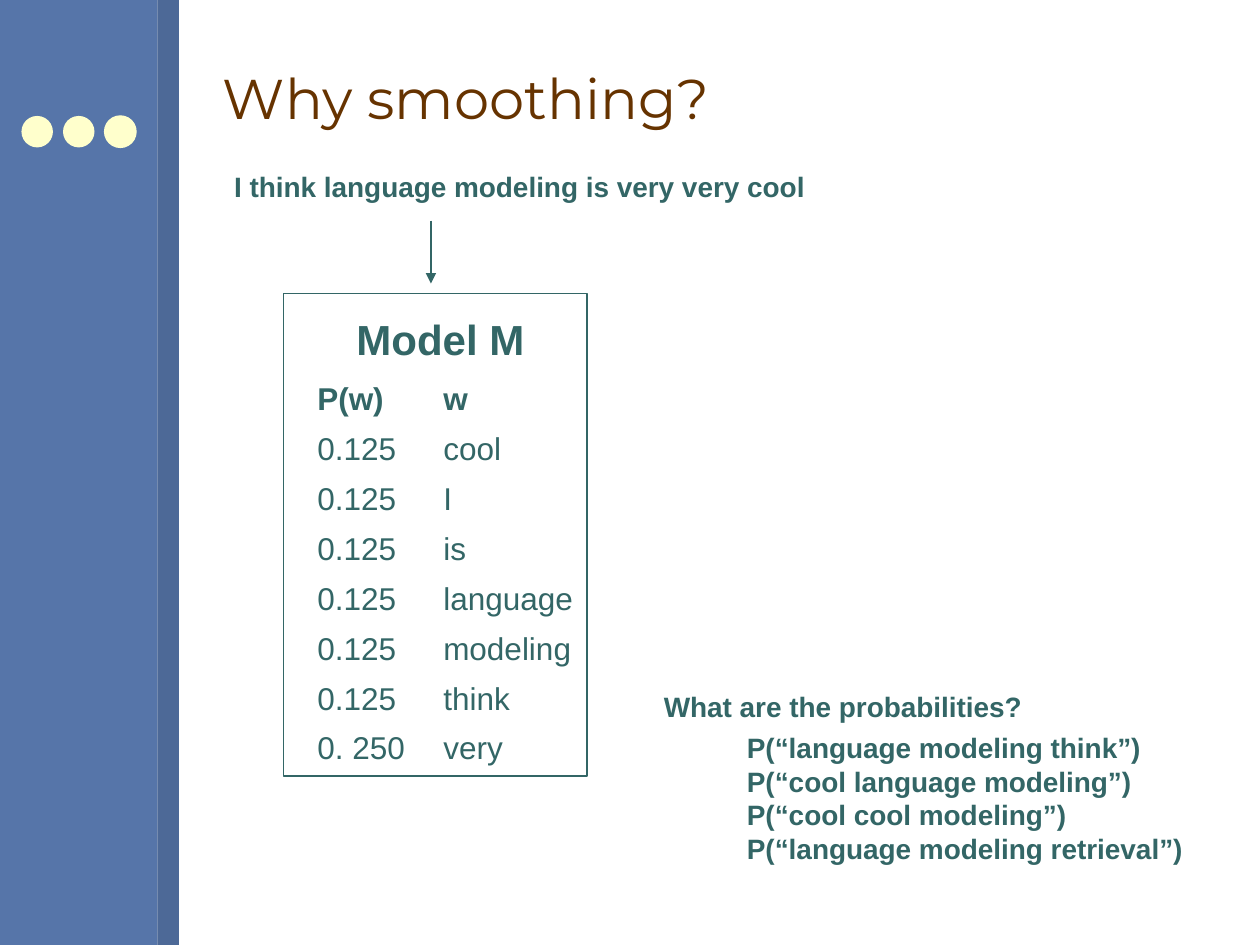
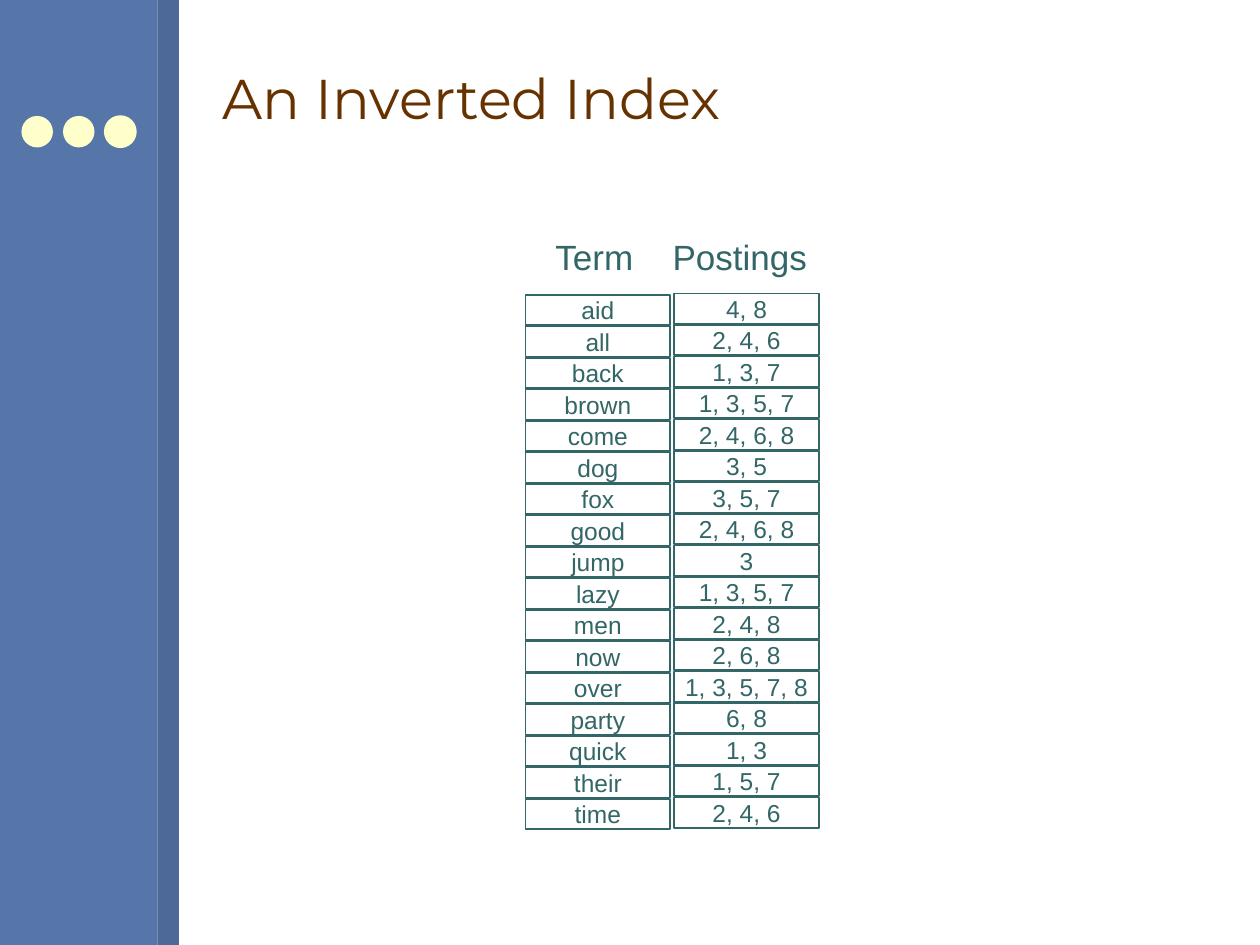
from lxml import etree
from pptx import Presentation
from pptx.dml.color import RGBColor
from pptx.enum.shapes import MSO_CONNECTOR, MSO_SHAPE
from pptx.enum.text import MSO_ANCHOR, PP_ALIGN
from pptx.oxml.ns import qn
from pptx.util import Inches, Pt

BAND, BAND_EDGE, DOT = "5675A9", "4D6997", "FFFFCC"
TITLE_COLOR, INK = "663300", "336666"
TITLE_FONT, BODY_FONT = "Montserrat", "Arial"

WORD_PROBABILITIES = [
    ("P(w)", "w"), ("0.125", "cool"), ("0.125", "I"), ("0.125", "is"),
    ("0.125", "language"), ("0.125", "modeling"), ("0.125", "think"),
    ("0. 250", "very"),
]
QUERIES = [
    "P(“language modeling think”)",
    "P(“cool language modeling”)",
    "P(“cool cool modeling”)",
    "P(“language modeling retrieval”)",
]
INVERTED_INDEX = {
    "aid": "4, 8", "all": "2, 4, 6", "back": "1, 3, 7", "brown": "1, 3, 5, 7",
    "come": "2, 4, 6, 8", "dog": "3, 5", "fox": "3, 5, 7", "good": "2, 4, 6, 8",
    "jump": "3", "lazy": "1, 3, 5, 7", "men": "2, 4, 8", "now": "2, 6, 8",
    "over": "1, 3, 5, 7, 8", "party": "6, 8", "quick": "1, 3",
    "their": "1, 5, 7", "time": "2, 4, 6",
}


def rgb(color):
    return RGBColor.from_string(color)


def style(para, size, color=INK, font=BODY_FONT, bold=False, align=PP_ALIGN.LEFT):
    para.alignment = align
    para.font.size = Pt(size)
    para.font.name = font
    para.font.bold = bold
    para.font.color.rgb = rgb(color)


def add_text(page, left, top, width, height, lines, size, **look):
    """Add a text box with one paragraph per line and return its frame."""
    box = page.shapes.add_textbox(
        Inches(left), Inches(top), Inches(width), Inches(height))
    frame = box.text_frame
    frame.word_wrap = True
    frame.text = "\n".join(lines)
    for para in frame.paragraphs:
        style(para, size, **look)
    return frame


def add_preset(page, kind, left, top, width, height, fill=None, line=None, weight=0.75):
    shape = page.shapes.add_shape(
        kind, Inches(left), Inches(top), Inches(width), Inches(height))
    shape.shadow.inherit = False
    if fill:
        shape.fill.solid()
        shape.fill.fore_color.rgb = rgb(fill)
    else:
        shape.fill.background()
    if line:
        shape.line.color.rgb = rgb(line)
        shape.line.width = Pt(weight)
    else:
        shape.line.fill.background()
    return shape


def add_arrow(page, start_x, start_y, end_x, end_y):
    arrow = page.shapes.add_connector(
        MSO_CONNECTOR.STRAIGHT,
        Inches(start_x), Inches(start_y), Inches(end_x), Inches(end_y))
    arrow.line.color.rgb = rgb(INK)
    arrow.line.width = Pt(0.75)
    etree.SubElement(arrow.line._get_or_add_ln(), qn("a:tailEnd"), type="triangle")
    etree.SubElement(arrow._element.spPr, qn("a:effectLst"))


def add_page(deck, title):
    """Add a slide with the side bands, the three dots and its title."""
    page = deck.slides.add_slide(deck.slide_layouts[6])
    add_preset(page, MSO_SHAPE.RECTANGLE, 0, 0, 1.25, 7.5, BAND)
    add_preset(page, MSO_SHAPE.RECTANGLE, 1.25, 0, 0.17, 7.5, BAND_EDGE)
    for left, outline in ((0.17, None), (0.5, None), (0.83, DOT)):
        add_preset(page, MSO_SHAPE.OVAL, left, 0.92, 0.25, 0.25, DOT, outline)
    frame = add_text(page, 1.67, 0.21, 8, 1.13, [title], 32,
                     color=TITLE_COLOR, font=TITLE_FONT)
    frame.vertical_anchor = MSO_ANCHOR.MIDDLE
    return page


def add_model(page, left, top):
    """Draw the framed unigram model with its word probabilities."""
    add_preset(page, MSO_SHAPE.RECTANGLE, left, top, 2.41, 3.83, line=INK)
    add_text(page, left + 0.34, top + 0.11, 1.81, 0.5, ["Model M"], 24,
             bold=True, align=PP_ALIGN.CENTER)
    rows = ["\t".join(row) for row in WORD_PROBABILITIES]
    frame = add_text(page, left + 0.17, top + 0.69, 2.33, 3.12, rows, 18)
    for number, para in enumerate(frame.paragraphs):
        para.line_spacing = 0.8
        para.font.bold = number == 0
        if number:
            para.space_before = Pt(11.2)


def add_questions(page, left, top):
    add_text(page, left, top, 3.2, 0.37, ["What are the probabilities?"], 16, bold=True)
    add_text(page, left + 0.66, top + 0.33, 3.8, 1.17, QUERIES, 16, bold=True)


def add_index_column(page, left, top, entries):
    row_pitch = 0.25
    for row, entry in enumerate(entries):
        cell = add_preset(page, MSO_SHAPE.RECTANGLE, left, top + row * row_pitch,
                          1.15, 0.24, line=INK, weight=1)
        frame = cell.text_frame
        frame.word_wrap = False
        frame.vertical_anchor = MSO_ANCHOR.MIDDLE
        frame.text = entry
        style(frame.paragraphs[0], 14, align=PP_ALIGN.CENTER)


def build_smoothing_page(deck):
    page = add_page(deck, "Why smoothing?")
    add_text(page, 1.76, 1.3, 4.9, 0.37,
             ["I think language modeling is very very cool"], 16, bold=True)
    add_arrow(page, 3.42, 1.75, 3.42, 2.25)
    add_model(page, 2.25, 2.33)
    add_questions(page, 5.17, 5.42)


def build_index_page(deck):
    page = add_page(deck, "An Inverted Index")
    add_text(page, 4.31, 1.82, 0.9, 0.43, ["Term"], 20)
    add_text(page, 5.24, 1.82, 1.4, 0.43, ["Postings"], 20)
    add_index_column(page, 4.17, 2.34, INVERTED_INDEX.keys())
    add_index_column(page, 5.35, 2.33, INVERTED_INDEX.values())


def main():
    deck = Presentation()
    deck.slide_width, deck.slide_height = Inches(10), Inches(7.5)
    build_smoothing_page(deck)
    build_index_page(deck)
    deck.save("out.pptx")


if __name__ == "__main__":
    main()
